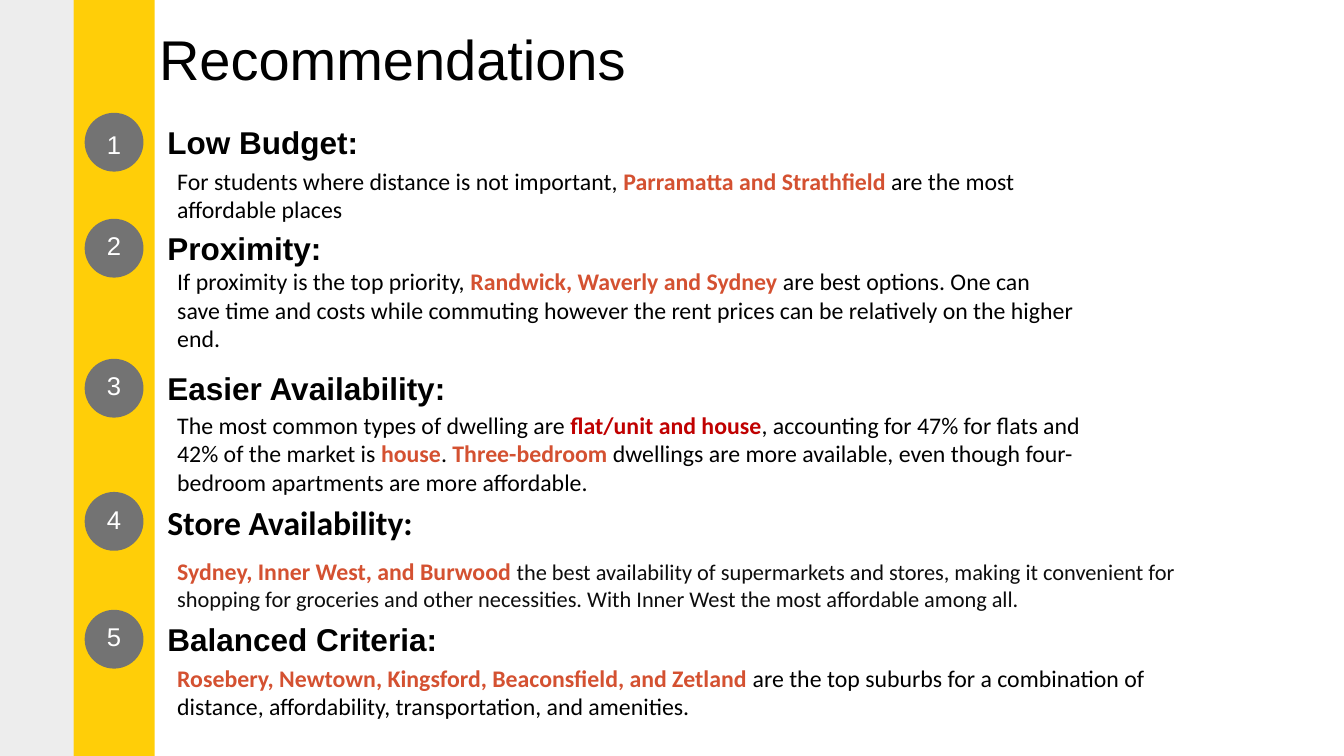
from lxml.etree import SubElement
from pptx import Presentation
from pptx.dml.color import RGBColor
from pptx.enum.shapes import MSO_SHAPE as SHAPE
from pptx.enum.text import MSO_ANCHOR as ANCHOR, MSO_AUTO_SIZE as AUTO, PP_ALIGN as ALIGN
from pptx.oxml.ns import qn
from pptx.util import Pt

BLACK, WHITE, ORANGE, RED = "000000", "FFFFFF", "D45131", "C00000"
YELLOW, GREY, SIDE = "FFCE08", "737373", "808080"

TITLE = "Recommendations"
PLAIN = {"name": "Calibri", "size": 17, "color": BLACK, "bold": False}
KEY = {**PLAIN, "color": ORANGE, "bold": True}
STRONG = {**KEY, "color": RED}
SMALL = {**PLAIN, "size": 16, "color": "0D0D0D"}
HEAD = {"name": "Arial", "size": 22.5, "color": BLACK, "bold": True}
STORE_HEAD = {**HEAD, "name": "Calibri", "size": 24}
NUMBER = {"name": "Arial", "size": 18.3, "color": WHITE, "bold": False}

# heading, heading format, circle top, advice top, advice width, advice height, advice runs
RECOMMENDATIONS = [
    ("Low Budget:", HEAD, 80.6, 115.2, 672.5, 48, [
        ("For students where distance is not important, ", PLAIN),
        ("Parramatta and Strathfield", KEY),
        (" are the most affordable places", PLAIN)]),
    ("Proximity:", HEAD, 156.3, 187.2, 655.5, 69.5, [
        ("If proximity is the top priority, ", PLAIN),
        ("Randwick, Waverly and Sydney", KEY),
        (" are best options. One can save time and costs while commuting however "
         "the rent prices can be relatively on the higher end.", PLAIN)]),
    ("Easier Availability:", HEAD, 256.3, 289.6, 690, 69.5, [
        ("The most common types of dwelling are", PLAIN),
        (" flat/unit and house", STRONG),
        (", accounting for 47% for flats and 42% of the market is ", PLAIN),
        ("house", KEY),
        (". ", PLAIN),
        ("Three-bedroom", KEY),
        (" dwellings are more available, even though four-bedroom apartments "
         "are more affordable.", PLAIN)]),
    ("Store Availability:", STORE_HEAD, 351.4, 393.8, 787.7, 48, [
        ("Sydney, Inner West, and Burwood ", KEY),
        ("the best availability of supermarkets and stores, making it convenient for "
         "shopping for groceries and other necessities. With Inner West the most "
         "affordable among all.", SMALL)]),
    ("Balanced Criteria:", HEAD, 435.6, 470.2, 723.6, 48, [
        ("Rosebery, Newtown, Kingsford, Beaconsfield, and Zetland ", KEY),
        ("are the top suburbs for a combination of distance, affordability, "
         "transportation, and amenities.", PLAIN)]),
]

CIRCLE_LEFT, CIRCLE_SIZE = 60.5, 42
TEXT_LEFT, HEAD_DROP, HEAD_WIDTH, HEAD_HEIGHT = 119.5, 7.4, 215, 27.4


def rgb(color):
    return RGBColor.from_string(color)


def add_runs(paragraph, runs):
    for text, style in runs:
        run = paragraph.add_run()
        run.text = text
        run.font.color.rgb = rgb(style["color"])
        run.font.size = Pt(style["size"])
        for key in ("name", "bold"):
            setattr(run.font, key, style[key])


def set_frame(frame, **values):
    for key, value in values.items():
        setattr(frame, key, value)


def set_margins(frame, left=0, top=0):
    set_frame(frame, margin_left=Pt(left), margin_top=Pt(top),
              margin_right=0, margin_bottom=0)


def add_filled(kind, left, top, width, height, color):
    shape = slide.shapes.add_shape(kind, Pt(left), Pt(top), Pt(width), Pt(height))
    shape.shadow.inherit = False
    shape.fill.solid()
    shape.fill.fore_color.rgb = rgb(color)
    shape.line.fill.background()
    return shape


def add_text(left, top, width, height, runs):
    frame = slide.shapes.add_textbox(Pt(left), Pt(top), Pt(width), Pt(height)).text_frame
    frame.word_wrap = True
    add_runs(frame.paragraphs[0], runs)
    return frame


deck = Presentation()
deck.slide_width, deck.slide_height = Pt(960), Pt(540)
slide = deck.slides.add_slide(deck.slide_layouts[5])

title = slide.shapes.title
title.left, title.top, title.width, title.height = Pt(102.5), Pt(12.2), Pt(396), Pt(51.3)
set_margins(title.text_frame, left=11.1)
set_frame(title.text_frame, vertical_anchor=ANCHOR.TOP, auto_size=AUTO.NONE, word_wrap=True)
heading_line = title.text_frame.paragraphs[0]
heading_line.alignment, heading_line.line_spacing = ALIGN.LEFT, Pt(53.3)
add_runs(heading_line, [(TITLE, {**HEAD, "size": 40, "bold": False})])

add_filled(SHAPE.RECTANGLE, 52.6, -3, 57.9, 547, YELLOW)
side_band = add_filled(SHAPE.RECTANGLE, -5.8, -3, 58.4, 544.5, SIDE)
side_color = side_band.fill._xPr.find(qn("a:solidFill"))[0]
SubElement(side_color, qn("a:alpha")).set("val", "14000")

for number, (heading, head_style, circle_top, advice_top, width, height, advice) in enumerate(
        RECOMMENDATIONS, 1):
    circle = add_filled(SHAPE.OVAL, CIRCLE_LEFT, circle_top, CIRCLE_SIZE, CIRCLE_SIZE, GREY)
    set_margins(circle.text_frame, top=7 if number == 1 else 0)
    set_frame(circle.text_frame, vertical_anchor=ANCHOR.MIDDLE, word_wrap=False)
    digit = circle.text_frame.paragraphs[0]
    digit.alignment, digit.line_spacing = ALIGN.CENTER, Pt(18.3)
    add_runs(digit, [(str(number), NUMBER)])

    set_margins(add_text(TEXT_LEFT, circle_top + HEAD_DROP, HEAD_WIDTH, HEAD_HEIGHT,
                         [(heading, head_style)]))
    add_text(TEXT_LEFT, advice_top, width, height, advice)

deck.save("out.pptx")
